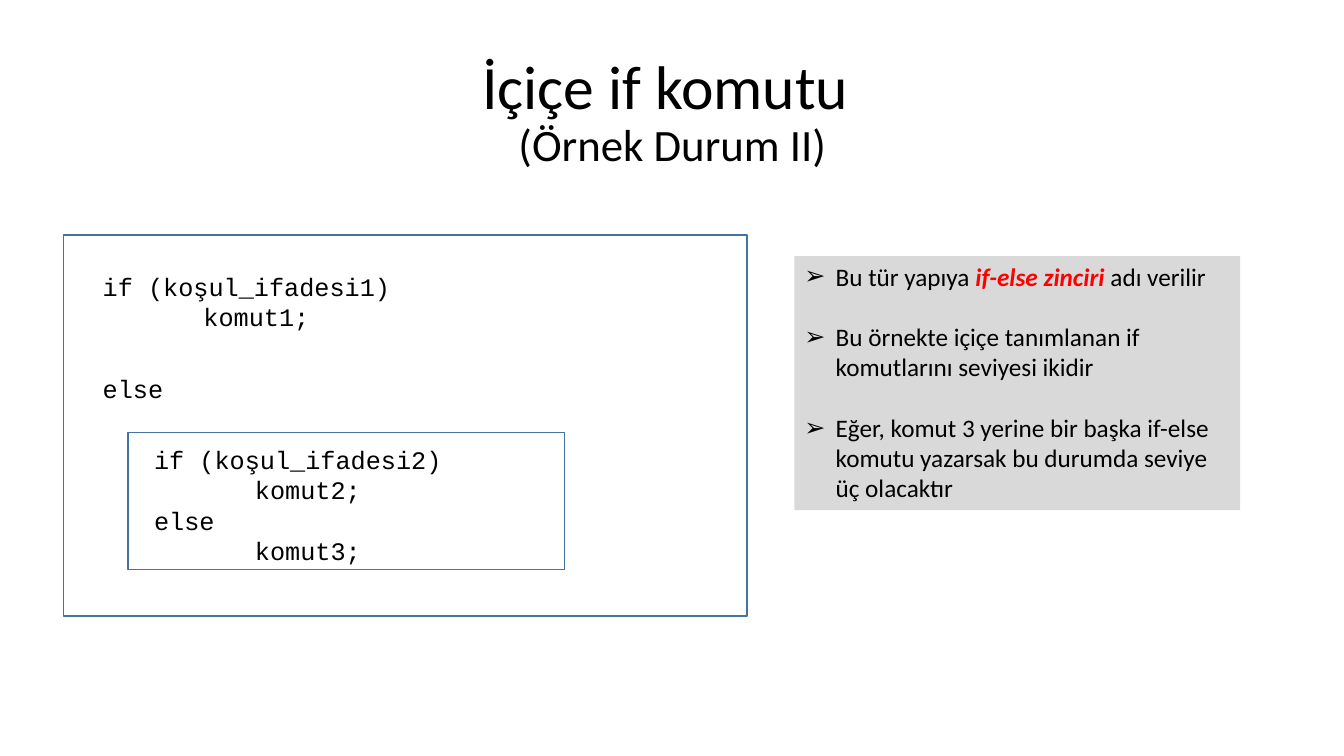
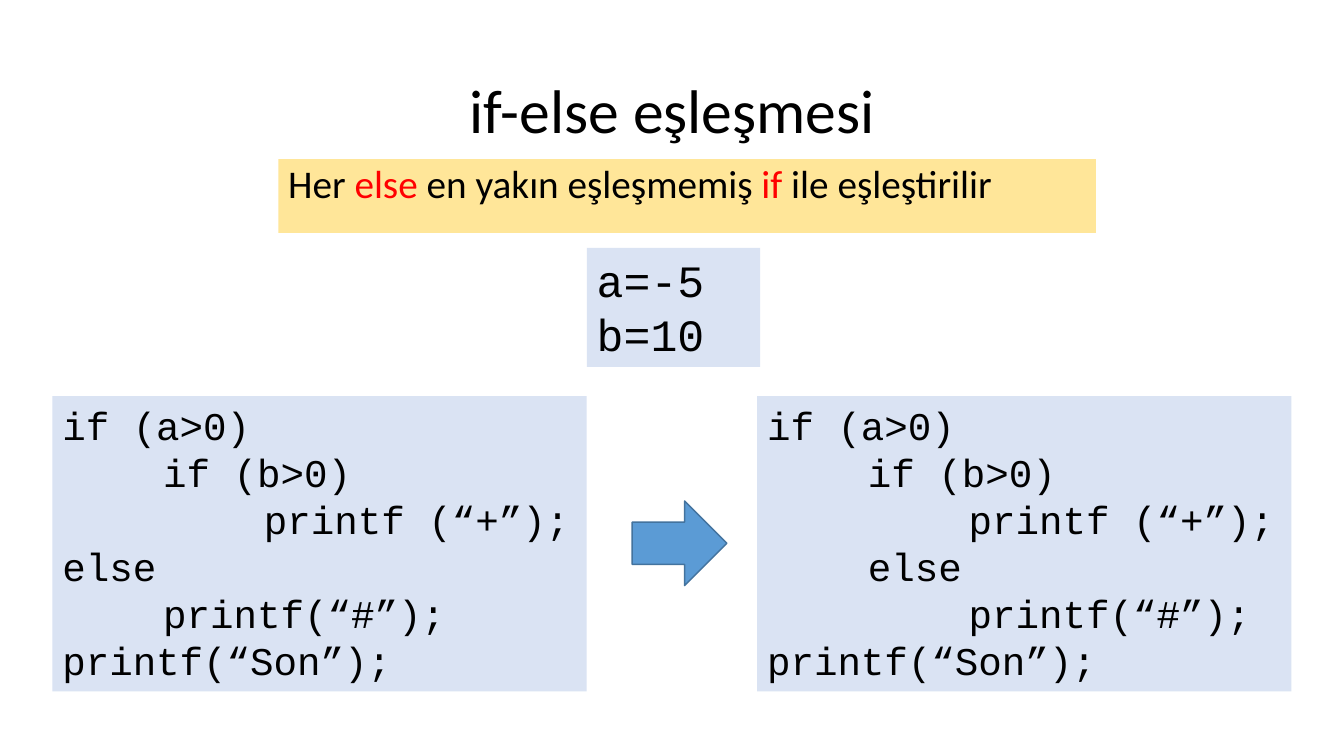
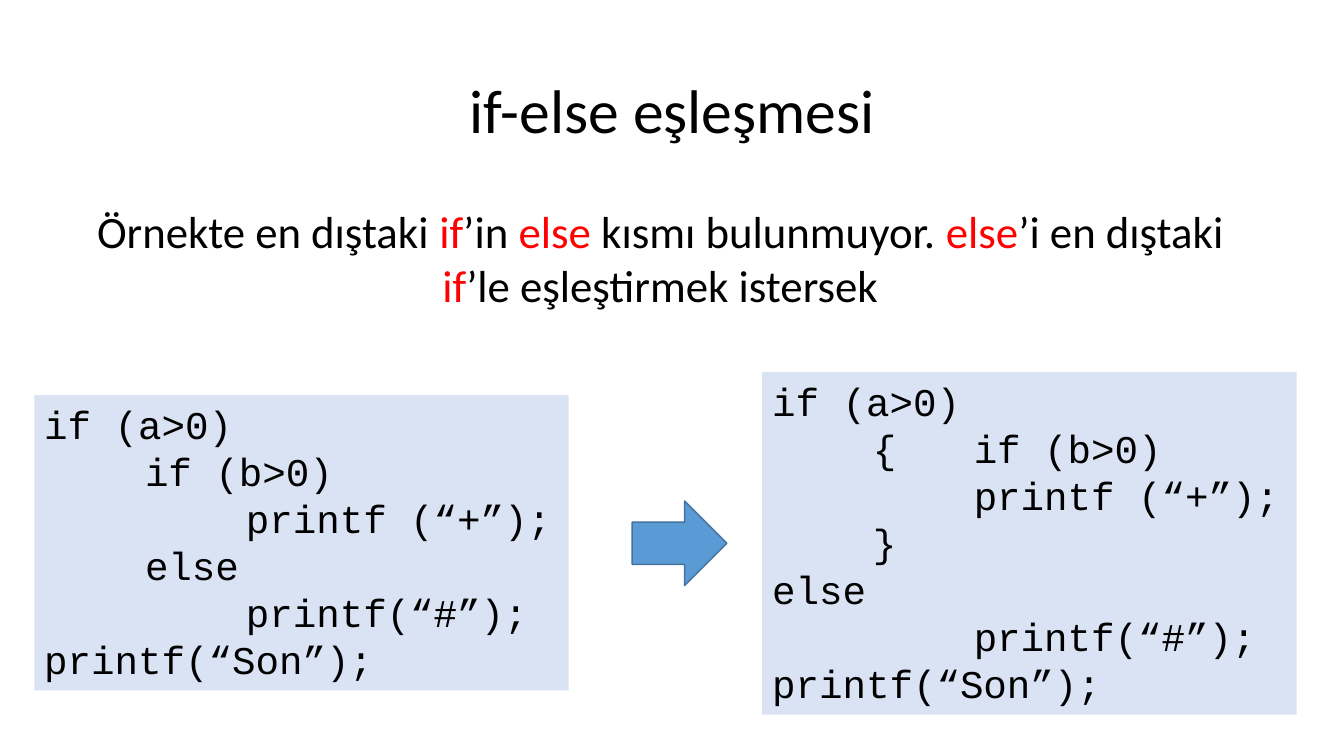
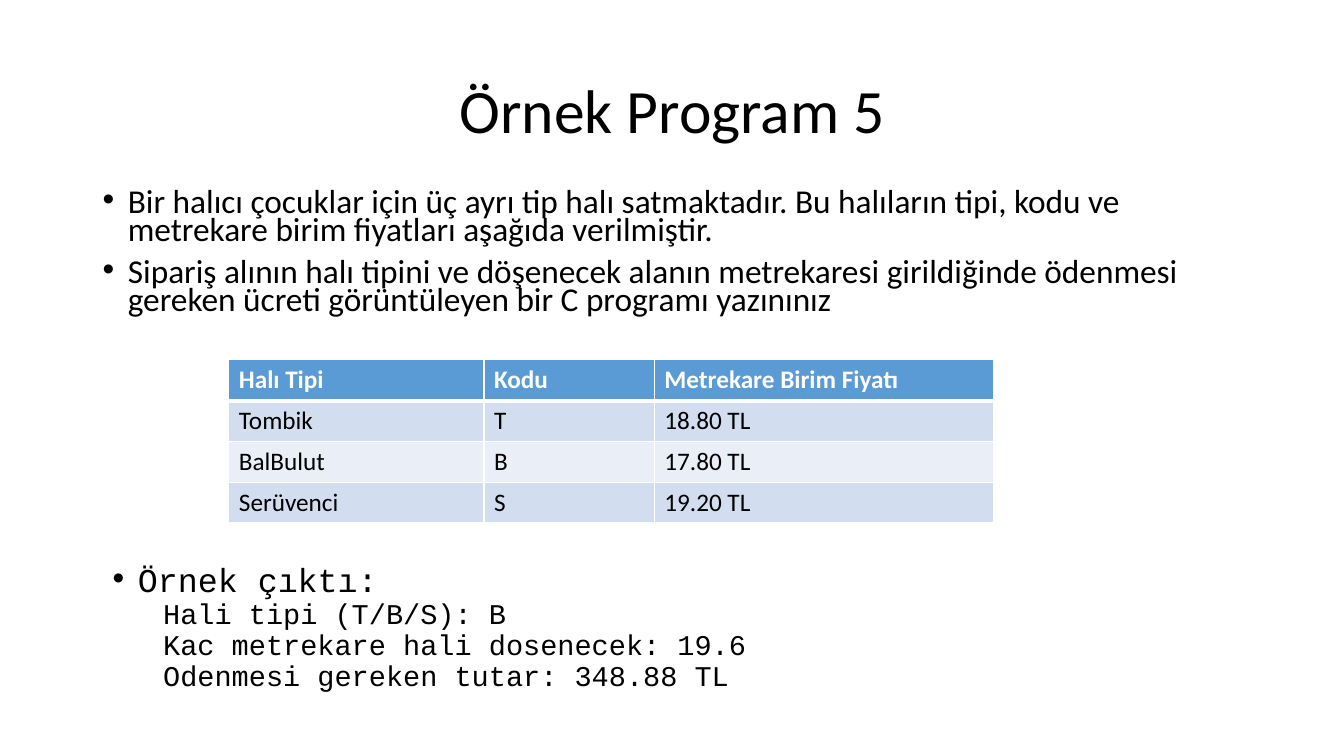
from lxml.etree import SubElement
from pptx import Presentation
from pptx.dml.color import RGBColor
from pptx.enum.shapes import MSO_SHAPE as Preset
from pptx.enum.text import MSO_ANCHOR as Anchor, PP_ALIGN as Align
from pptx.oxml.ns import qn
from pptx.util import Inches, Pt

BODY, CODE = "Calibri", "Courier New"
BLACK, WHITE, RED = "000000", "FFFFFF", "FF0000"
BLUE, OUTLINE, CODE_FILL = "5B9BD5", "43739E", "DAE3F3"
NOTE_FILL, RULE_FILL = "D9D9D9", "FFE699"
BANDS = ["D2DEEF", "EAEFF7"]
color = RGBColor.from_string


def add_text(slide, box, lines, size, font=BODY, fill=None, align=None):
    area = slide.shapes.add_textbox(*map(Inches, box))
    if fill:
        area.fill.solid()
        area.fill.fore_color.rgb = color(fill)
    frame = area.text_frame
    frame.word_wrap = True
    for number, line in enumerate(lines):
        paragraph = frame.add_paragraph() if number else frame.paragraphs[0]
        paragraph.alignment = align
        if "\t" in line:
            stops = SubElement(paragraph._p.get_or_add_pPr(), qn("a:tabLst"))
            for inch in (1, 2):
                SubElement(stops, qn("a:tab"), pos=str(Inches(inch)), algn="l")
        for part, words in enumerate(line.split("|")):
            if not words:
                continue
            run = paragraph.add_run()
            run.text = words
            run.font.name = font
            run.font.size = Pt(size)
            run.font.color.rgb = color(RED if part % 2 else BLACK)
    return frame


def add_bullet(paragraph, mark, indent):
    properties = paragraph._p.get_or_add_pPr()
    properties.set("marL", str(Inches(indent)))
    properties.set("indent", str(-Inches(indent)))
    SubElement(properties, qn("a:buFont")).set("typeface", "Arial")
    SubElement(properties, qn("a:buChar")).set("char", mark)


deck = Presentation()
deck.slide_width, deck.slide_height = Inches(13.33), Inches(7.5)

titles = ["İçiçe if komutu \v(Örnek Durum II)", "if-else eşleşmesi", "if-else eşleşmesi", "Örnek Program 5"]
slides = []
for title in titles:
    slide = deck.slides.add_slide(deck.slide_layouts[6])
    heading = add_text(slide, (0.92, 0.4, 11.5, 1.45), [""], 44)
    heading.vertical_anchor = Anchor.MIDDLE
    paragraph = heading.paragraphs[0]
    paragraph.text = title
    paragraph.alignment = Align.CENTER
    paragraph.line_spacing = 0.9
    for run, size in zip(paragraph.runs, (44, 32)):
        run.font.name = BODY
        run.font.size = Pt(size)
        run.font.color.rgb = color(BLACK)
    slides.append(slide)
nesting, matching, bracing, carpets = slides

for box in [(0.63, 2.33, 6.78, 3.78), (1.27, 4.29, 4.33, 1.36)]:
    block = nesting.shapes.add_shape(Preset.RECTANGLE, *map(Inches, box))
    block.shadow.inherit = False
    block.fill.solid()
    block.fill.fore_color.rgb = color(WHITE)
    block.line.color.rgb = color(OUTLINE)
    block.line.width = Pt(1)

add_text(nesting, (0.92, 2.64, 3.54, 0.71), ["if (koşul_ifadesi1)", "\tkomut1;"], 18, CODE)
add_text(nesting, (0.92, 3.65, 2.31, 0.4), ["else"], 18, CODE)
inner_if = ["if (koşul_ifadesi2)", "\tkomut2;", "else", "\tkomut3;"]
add_text(nesting, (1.43, 4.36, 3.61, 1.31), inner_if, 18, CODE)

remarks = [
    "Bu tür yapıya |if-else zinciri| adı verilir",
    "Bu örnekte içiçe tanımlanan if komutlarını seviyesi ikidir",
    "Eğer, komut 3 yerine bir başka if-else komutu yazarsak bu durumda seviye üç olacaktır",
]
notes = add_text(nesting, (7.88, 2.54, 4.42, 2.52), remarks, 18, fill=NOTE_FILL)
for paragraph in notes.paragraphs:
    add_bullet(paragraph, "➢", 0.31)
for paragraph in notes.paragraphs[1:]:
    paragraph.space_before = Pt(21.6)
term = notes.paragraphs[0].runs[1].font
term.bold = term.italic = True

rule = add_text(matching, (2.76, 1.58, 8.11, 0.73),
                ["Her |else| en yakın eşleşmemiş |if |ile eşleştirilir"], 28, fill=RULE_FILL)
rule.paragraphs[0].line_spacing = 0.9
add_text(matching, (5.82, 2.46, 1.72, 1.18), ["a=-5", "b=10"], 32, CODE, CODE_FILL)
add_text(bracing, (0.68, 1.97, 11.74, 1.18),
         ["Örnekte en dıştaki |if|’in |else| kısmı bulunmuyor. |else|’i en dıştaki |if|’le eşleştirmek istersek"],
         32, align=Align.CENTER)

opening = ["if (a>0)", "\tif (b>0)", "\t\tprintf (“+”);"]
closing = "printf(“Son”);"
misaligned = opening + ["else", "\tprintf(“#”);", closing]
aligned = opening + ["\telse", "\t\tprintf(“#”);", closing]
braced = ["if (a>0)", "\t{\tif (b>0)", "\t\tprintf (“+”);", "\t}", "else", "\t\tprintf(“#”);", closing]
listings = [
    (matching, 0.52, 3.93, 2.93, misaligned),
    (matching, 7.51, 3.93, 2.93, aligned),
    (bracing, 0.34, 3.92, 2.93, aligned),
    (bracing, 7.56, 3.69, 3.4, braced),
]
for slide, left, top, height, listing in listings:
    add_text(slide, (left, top, 5.3, height), listing, 28, CODE, CODE_FILL)

for slide in (matching, bracing):
    arrow = slide.shapes.add_shape(Preset.RIGHT_ARROW, Inches(6.27), Inches(4.97), Inches(0.94), Inches(0.84))
    arrow.shadow.inherit = False
    arrow.fill.solid()
    arrow.fill.fore_color.rgb = color(BLUE)
    arrow.line.color.rgb = color(OUTLINE)
    arrow.line.width = Pt(1)

task = add_text(carpets, (0.92, 1.85, 11.5, 1.4), [
    "Bir halıcı çocuklar için üç ayrı tip halı satmaktadır. Bu halıların tipi, kodu ve "
    "metrekare birim fiyatları aşağıda verilmiştir.",
    "Sipariş alının halı tipini ve döşenecek alanın metrekaresi girildiğinde ödenmesi "
    "gereken ücreti görüntüleyen bir C programı yazınınız",
], 23.8)
for paragraph in task.paragraphs:
    add_bullet(paragraph, "•", 0.25)
    paragraph.line_spacing = 0.7
    paragraph.space_before = Pt(10)

prices = [
    ("Halı Tipi", "Kodu", "Metrekare Birim Fiyatı"),
    ("Tombik", "T", "18.80 TL"),
    ("BalBulut", "B", "17.80 TL"),
    ("Serüvenci", "S", "19.20 TL"),
]
price_table = carpets.shapes.add_table(4, 3, Inches(2.27), Inches(3.57), Inches(7.59), Inches(1.62)).table
for column, width in zip(price_table.columns, (2.53, 1.69, 3.37)):
    column.width = Inches(width)
for row, values in enumerate(prices):
    for column, value in enumerate(values):
        cell = price_table.cell(row, column)
        edges = {"lnL": 1, "lnR": 1, "lnT": 1, "lnB": 1 if row else 3}
        for edge, width in edges.items():
            border = SubElement(cell._tc.get_or_add_tcPr(), qn("a:" + edge), w=str(Pt(width)))
            SubElement(SubElement(border, qn("a:solidFill")), qn("a:srgbClr"), val=WHITE)
        cell.fill.solid()
        cell.fill.fore_color.rgb = color(BANDS[(row - 1) % 2] if row else BLUE)
        cell.text_frame.text = value
        font = cell.text_frame.paragraphs[0].runs[0].font
        font.name = BODY
        font.size = Pt(18)
        font.bold = row == 0
        font.color.rgb = color(BLACK if row else WHITE)

output = add_text(carpets, (1.02, 5.61, 11.5, 1.4), [
    "Örnek çıktı:",
    "Hali tipi (T/B/S): B",
    "Kac metrekare hali dosenecek: 19.6",
    "Odenmesi gereken tutar: 348.88 TL",
], 20.4, CODE)
for paragraph in output.paragraphs:
    paragraph.line_spacing = 0.7
    paragraph.space_before = Pt(5)
    paragraph._p.get_or_add_pPr().set("marL", str(Inches(0.5)))
caption = output.paragraphs[0]
add_bullet(caption, "•", 0.25)
caption.space_before = Pt(10)
caption.runs[0].font.size = Pt(23.8)

deck.save("out.pptx")
